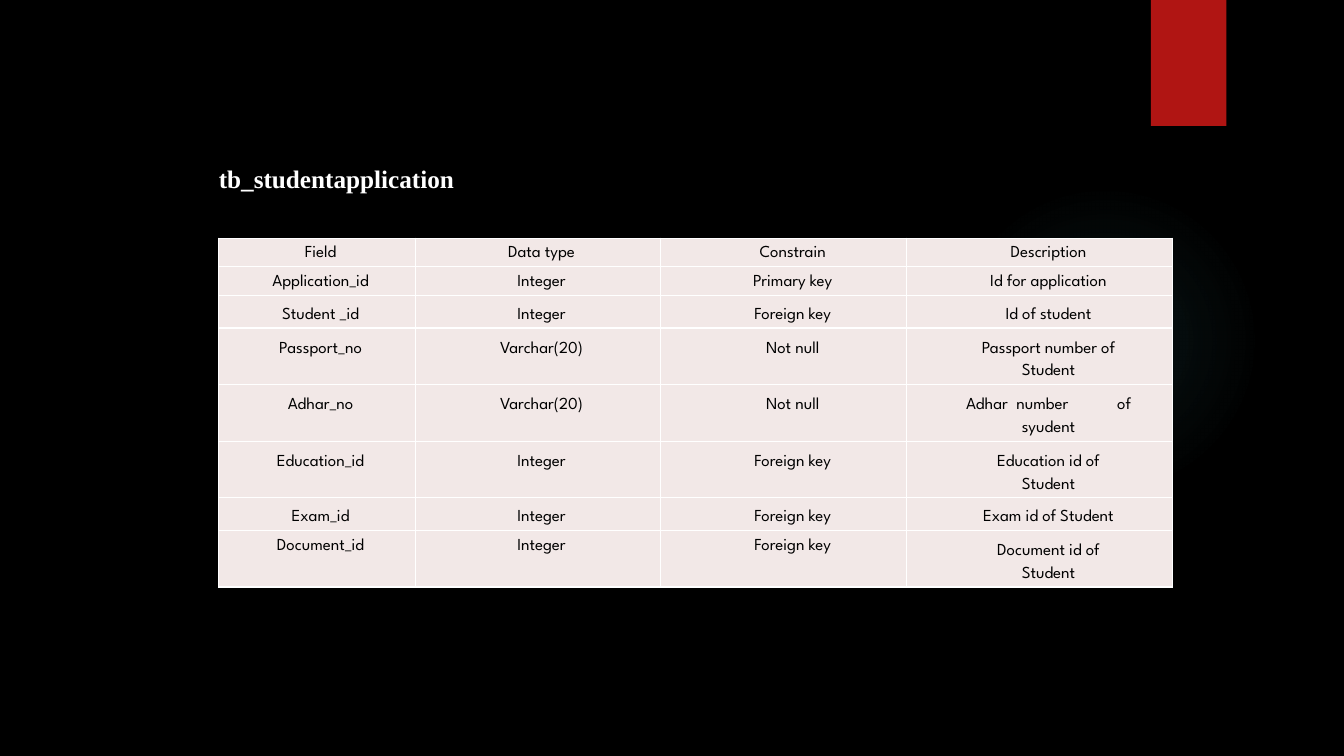
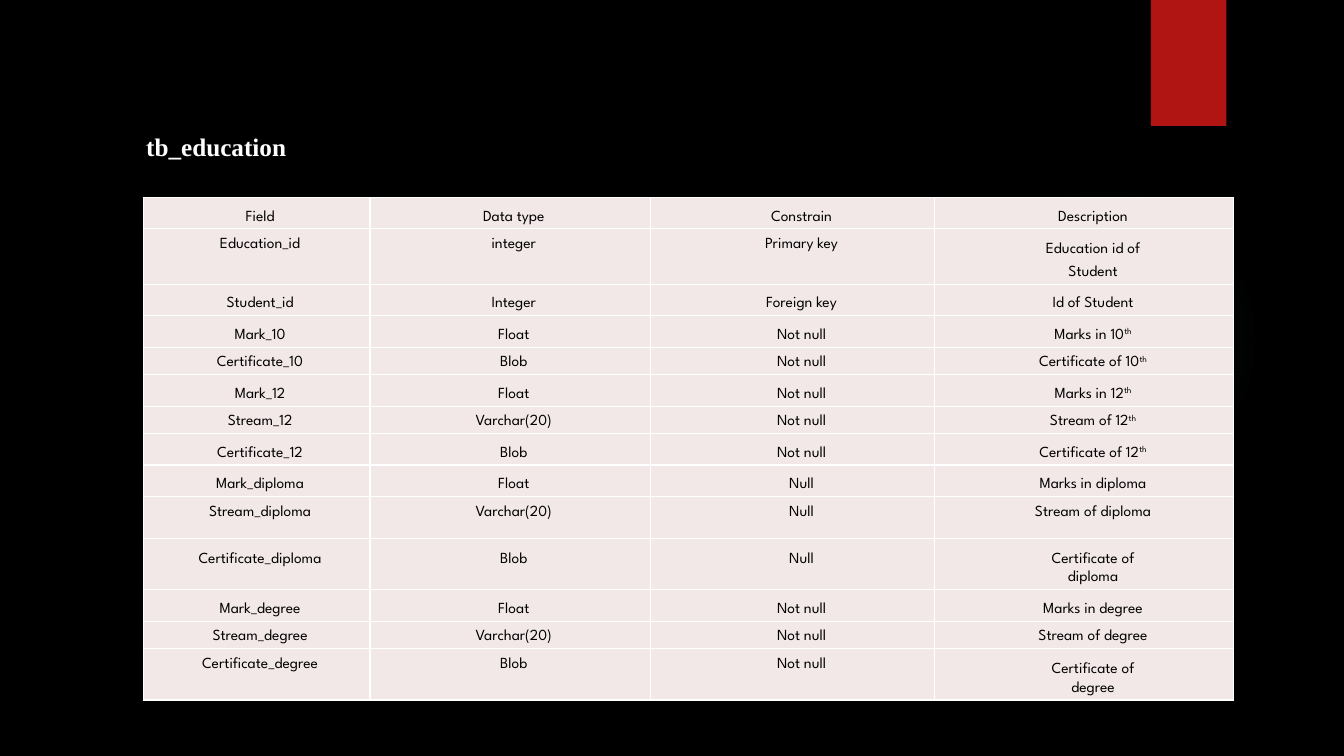
from dataclasses import dataclass

from pptx import Presentation
from pptx.dml.color import RGBColor
from pptx.enum.shapes import MSO_SHAPE
from pptx.enum.text import MSO_ANCHOR, PP_ALIGN
from pptx.oxml import parse_xml
from pptx.oxml.ns import nsdecls
from pptx.util import Inches, Pt

OVAL, RECTANGLE = MSO_SHAPE.OVAL, MSO_SHAPE.RECTANGLE
LEFT, CENTER, TOP = PP_ALIGN.LEFT, PP_ALIGN.CENTER, MSO_ANCHOR.TOP


@dataclass(frozen=True)
class Theme:
    background: str = "000000"
    flag: str = "B01513"
    glow: str = "50B9C1"
    cell: str = "F2E8E7"
    border: str = "FFFFFF"
    title: str = "FFFFFF"
    body: str = "000000"
    title_font: str = "Times New Roman"
    body_font: str = "League Spartan"
    title_size: int = 18


THEME = Theme()
TITLE_ONLY = 5

# Line spacings in points
TIGHT, MEDIUM, LOOSE = 13.2, 16.1, 17.1
# Left cell margins in inches
CELL_LEFT = (0.17, 0.17, 0.28, 0.28)

# Each row: spacing, texts, and optionally the spacings of the description's lines.
# "\n" starts a paragraph, "^" starts a superscript. Pads and minimum heights are in points.
HEADER = ("Field", "Data type", "Constrain", "Description")
TABLES = [
    {
        "title": "tb_studentapplication", "title_at": (26.05, 18.8),
        "at": (26.05, 28.35), "columns": (23.4, 29.2, 29.3, 31.6), "size": 12,
        "pad": 3.6, "minimums": {},
        "rows": [
            (TIGHT, HEADER),
            (TIGHT, ("Application_id", "Integer", "Primary key", "Id for application")),
            (MEDIUM, ("Student _id", "Integer", "Foreign key", "Id of student")),
            (LOOSE, ("Passport_no", "Varchar(20)", "Not null", "Passport number of\nStudent"), (LOOSE, MEDIUM)),
            (LOOSE, ("Adhar_no", "Varchar(20)", "Not null", "Adhar\tnumber\tof\nsyudent"), (LOOSE, MEDIUM)),
            (LOOSE, ("Education_id", "Integer", "Foreign key", "Education id of\nStudent"), (LOOSE, MEDIUM)),
            (MEDIUM, ("Exam_id", "Integer", "Foreign key", "Exam id of Student")),
            (TIGHT, ("Document_id", "Integer", "Foreign key", "Document id of\nStudent"), (LOOSE, MEDIUM)),
        ],
    },
    {
        "title": "tb_education", "title_at": (17.4, 15),
        "at": (17.05, 23.5), "columns": (27, 33.4, 33.8, 35.6), "size": 11,
        "pad": 3.2, "minimums": {"Stream_diploma": 30},
        "rows": [
            (MEDIUM, HEADER),
            (TIGHT, ("Education_id", "integer", "Primary key", "Education id of\nStudent"), (LOOSE, MEDIUM)),
            (MEDIUM, ("Student_id", "Integer", "Foreign key", "Id of Student")),
            (MEDIUM, ("Mark_10", "Float", "Not null", "Marks in 10^th")),
            (TIGHT, ("Certificate_10", "Blob", "Not null", "Certificate of 10^th")),
            (MEDIUM, ("Mark_12", "Float", "Not null", "Marks in 12^th")),
            (TIGHT, ("Stream_12", "Varchar(20)", "Not null", "Stream of 12^th")),
            (MEDIUM, ("Certificate_12", "Blob", "Not null", "Certificate of 12^th")),
            (MEDIUM, ("Mark_diploma", "Float", "Null", "Marks in diploma")),
            (TIGHT, ("Stream_diploma", "Varchar(20)", "Null", "Stream of diploma")),
            (LOOSE, ("Certificate_diploma", "Blob", "Null", "Certificate of\ndiploma"), (LOOSE, TIGHT)),
            (MEDIUM, ("Mark_degree", "Float", "Not null", "Marks in degree")),
            (TIGHT, ("Stream_degree", "Varchar(20)", "Not null", "Stream of degree")),
            (TIGHT, ("Certificate_degree", "Blob", "Not null", "Certificate of\ndegree"), (LOOSE, TIGHT)),
        ],
    },
]


def write(frame, text, *, font, size, color, bold=False, align=LEFT, spacings=None):
    """Fill a text frame; spacings holds one line spacing in points per paragraph."""
    for index, line in enumerate(text.split("\n")):
        para = frame.paragraphs[0] if index == 0 else frame.add_paragraph()
        para.alignment = align
        if spacings:
            para.line_spacing = Pt(spacings[index])
        for level, part in enumerate(line.split("^")):
            span = para.add_run()
            span.text = part
            span.font.name = font
            span.font.size = Pt(size)
            span.font.bold = bold
            span.font.color.rgb = RGBColor.from_string(color)
            if level:
                span.font._element.set("baseline", "30000")


def add_decoration(page, kind, left, top, width, height, color):
    shape = page.shapes.add_shape(kind, *(int(value * UNIT) for value in (left, top, width, height)))
    shape.shadow.inherit = False
    shape.line.fill.background()
    shape.fill.solid()
    shape.fill.fore_color.rgb = RGBColor.from_string(color)
    return shape


deck = Presentation()
deck.slide_width, deck.slide_height = Inches(13.333), Inches(7.5)
# The slide is a grid of 160 columns by 90 rows of square units
UNIT = deck.slide_height / 90

layout = deck.slide_layouts[TITLE_ONLY]
layout.background.fill.solid()
layout.background.fill.fore_color.rgb = RGBColor.from_string(THEME.background)
pages = [deck.slides.add_slide(layout) for _ in TABLES]

# Shapes are drawn on a page, then moved to the layout that all pages share
glow = add_decoration(pages[0], OVAL, 113, 22, 37, 37, THEME.glow)
flag = add_decoration(pages[0], RECTANGLE, 137, 0, 9, 15, THEME.flag)
stops = "".join(
    f'<a:gs pos="{position}000"><a:srgbClr val="{THEME.glow}"><a:alpha val="{alpha}000"/></a:srgbClr></a:gs>'
    for position, alpha in ((0, 7), (36, 6), (69, 0))
)
gradient = parse_xml(
    f'<a:gradFill {nsdecls("a")}><a:gsLst>{stops}</a:gsLst><a:path path="circle">'
    '<a:fillToRect l="50000" t="50000" r="50000" b="50000"/></a:path></a:gradFill>'
)
glow_properties = glow.element.spPr
glow_properties.replace(glow_properties.solidFill, gradient)
for position, shape in enumerate((glow, flag), start=2):
    layout.shapes.element.insert(position, shape.element)

for page, content in zip(pages, TABLES):
    title = page.shapes.title
    title.left, title.top = (int(value * UNIT) for value in content["title_at"])
    title.width, title.height = int(68 * UNIT), int(4.8 * UNIT)
    frame = title.text_frame
    frame.margin_left = frame.margin_right = 0
    frame.vertical_anchor = TOP
    write(frame, content["title"], font=THEME.title_font, size=THEME.title_size,
          color=THEME.title, bold=True)

    rows, columns, pad = content["rows"], content["columns"], content["pad"]
    left, top = (int(value * UNIT) for value in content["at"])
    table = page.shapes.add_table(
        len(rows), len(columns), left, top, int(sum(columns) * UNIT), Inches(1)
    ).table
    table.first_row = table.horz_banding = False
    for column, width in zip(table.columns, columns):
        column.width = int(width * UNIT)

    for row, (spacing, texts, *description) in zip(table.rows, rows):
        last_spacings = description[0] if description else (spacing,)
        needed = sum(last_spacings) + 2 * pad
        row.height = Pt(max(needed, content["minimums"].get(texts[0], 0)))
        for index, (cell, text) in enumerate(zip(row.cells, texts)):
            cell.margin_left = Inches(CELL_LEFT[index])
            cell.margin_top = cell.margin_bottom = Pt(pad)
            is_last = index == len(texts) - 1
            write(cell.text_frame, text, font=THEME.body_font, size=content["size"],
                  color=THEME.body, align=CENTER,
                  spacings=last_spacings if is_last else (spacing,))
            properties = cell._tc.get_or_add_tcPr()
            for side in ("lnL", "lnR", "lnT", "lnB"):
                properties.append(parse_xml(
                    f'<a:{side} {nsdecls("a")} w="12700"><a:solidFill>'
                    f'<a:srgbClr val="{THEME.border}"/></a:solidFill></a:{side}>'
                ))
            cell.fill.solid()
            cell.fill.fore_color.rgb = RGBColor.from_string(THEME.cell)

deck.save("out.pptx")
